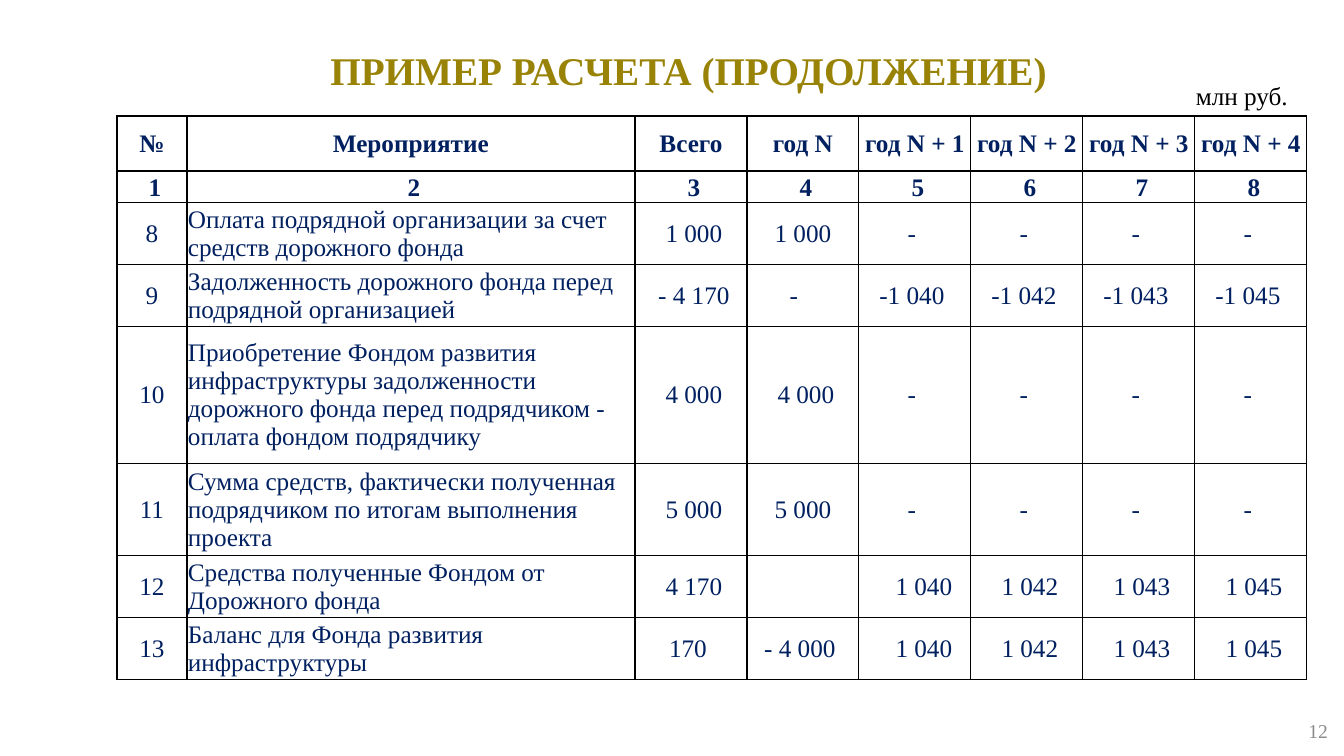
from lxml import etree
from pptx import Presentation
from pptx.dml.color import RGBColor
from pptx.enum.text import MSO_ANCHOR, PP_ALIGN
from pptx.oxml.ns import qn
from pptx.util import Pt

LEFT, CENTER, RIGHT = PP_ALIGN.LEFT, PP_ALIGN.CENTER, PP_ALIGN.RIGHT
TOP, MIDDLE, BOTTOM = MSO_ANCHOR.TOP, MSO_ANCHOR.MIDDLE, MSO_ANCHOR.BOTTOM
EMU_PER_PX = 914400 / 100.8
FONT = "Times New Roman"
NAVY, GOLD, GREY, BLACK, WHITE = "002060", "998307", "8C8C8C", "000000", "FFFFFF"

COLUMN_WIDTHS = [70, 448] + [112] * 6
ROW_HEIGHTS = [55, 31, 62, 62, 137, 92, 62, 62]
DASHES = ["-"] * 4
REPAYMENTS = ["1 040", "1 042", "1 043", "1 045"]
ROWS = [
    ["№", "Мероприятие", "Всего", "год N"] + [f"год N + {year}" for year in range(1, 5)],
    [str(number) for number in range(1, 9)],
    ["8", "Оплата подрядной организации за счет средств дорожного фонда",
     "1 000", "1 000"] + DASHES,
    ["9", "Задолженность дорожного фонда перед подрядной организацией",
     "- 4 170", "-"] + ["-" + amount for amount in REPAYMENTS],
    ["10", "Приобретение Фондом развития инфраструктуры задолженности дорожного "
     "фонда перед подрядчиком - оплата фондом подрядчику", "4 000", "4 000"] + DASHES,
    ["11", "Сумма средств, фактически полученная подрядчиком по итогам выполнения проекта",
     "5 000", "5 000"] + DASHES,
    ["12", "Средства полученные Фондом от Дорожного фонда", "4 170", ""] + REPAYMENTS,
    ["13", "Баланс для Фонда развития инфраструктуры", "170", "- 4 000"] + REPAYMENTS,
]
SHIFTS = [
    [0] * 8,
    [3] * 8,
    [0, 0, 3, 0] + [-3] * 4,
    [0, 0, 3, -9] + [-3] * 4,
    [0, 0, 3, 3] + [-3] * 4,
    [0, 0, 3, 0] + [-3] * 4,
    [0, 0, 3, 0, 9, 3, 3, 3],
    [0, 0, -3, -3, 9, 3, 3, 3],
]


def px(length):
    """Turn pixels into EMU."""
    return round(length * EMU_PER_PX)


def color(hex_value):
    """Turn a hex string into a colour."""
    return RGBColor.from_string(hex_value)


def write(frame, text, size, hex_value, align, bold=False):
    """Put one formatted paragraph into a text frame."""
    frame.text = text
    paragraph = frame.paragraphs[0]
    paragraph.alignment = align
    for run in paragraph.runs:
        run.font.name = FONT
        run.font.size = Pt(size)
        run.font.bold = bold
        run.font.color.rgb = color(hex_value)


def add_title(slide, text):
    """Place and format the slide title."""
    title = slide.shapes.title
    title.left, title.top, title.width, title.height = px(131), px(41), px(1115), px(58)
    title.text_frame.vertical_anchor = MIDDLE
    write(title.text_frame, text, 28, GOLD, CENTER, True)


def add_label(slide, box, text, size, hex_value, align, anchor):
    """Add a small text box."""
    frame = slide.shapes.add_textbox(*map(px, box)).text_frame
    frame.word_wrap = True
    frame.vertical_anchor = anchor
    write(frame, text, size, hex_value, align)


def add_borders(cell):
    """Draw thin black lines on the four sides of a cell."""
    properties = cell._tc.get_or_add_tcPr()
    for side in ("a:lnL", "a:lnR", "a:lnT", "a:lnB"):
        line = etree.SubElement(properties, qn(side), w=str(Pt(1)))
        fill = etree.SubElement(line, qn("a:solidFill"))
        etree.SubElement(fill, qn("a:srgbClr"), val=BLACK)


def fill_cell(cell, text, align, anchor, bold, shift):
    """Write a cell, moving its centred text sideways by the shift."""
    add_borders(cell)
    cell.fill.solid()
    cell.fill.fore_color.rgb = color(WHITE)
    cell.vertical_anchor = anchor
    cell.margin_left = px(1 + max(0, 2 * shift))
    cell.margin_right = px(1 + max(0, -2 * shift))
    cell.margin_top, cell.margin_bottom = px(1), 0
    write(cell.text_frame, text, 18, NAVY, align, bold)


def add_calculation(slide):
    """Add the table of payments by year."""
    table = slide.shapes.add_table(
        len(ROWS), len(COLUMN_WIDTHS), px(117), px(116),
        px(sum(COLUMN_WIDTHS)), px(sum(ROW_HEIGHTS))).table
    table.first_row = table.horz_banding = False
    for column, width in zip(table.columns, COLUMN_WIDTHS):
        column.width = px(width)
    for row, height in zip(table.rows, ROW_HEIGHTS):
        row.height = px(height)
    for r, (texts, shifts) in enumerate(zip(ROWS, SHIFTS)):
        anchor = BOTTOM if r == 1 else MIDDLE
        for c, (text, shift) in enumerate(zip(texts, shifts)):
            align = LEFT if c == 1 and r > 1 else CENTER
            fill_cell(table.cell(r, c), text, align, anchor, r < 2, shift)


def main():
    """Build and save the slide."""
    deck = Presentation()
    deck.slide_width, deck.slide_height = px(1344), px(756)
    slide = deck.slides.add_slide(deck.slide_layouts[5])
    add_title(slide, "ПРИМЕР РАСЧЕТА (ПРОДОЛЖЕНИЕ)")
    add_label(slide, (1025, 711, 313, 40), "12", 14, GREY, RIGHT, MIDDLE)
    add_calculation(slide)
    add_label(slide, (1186, 75, 128, 40), "млн руб.", 18, BLACK, LEFT, TOP)
    deck.save("out.pptx")


if __name__ == "__main__":
    main()
